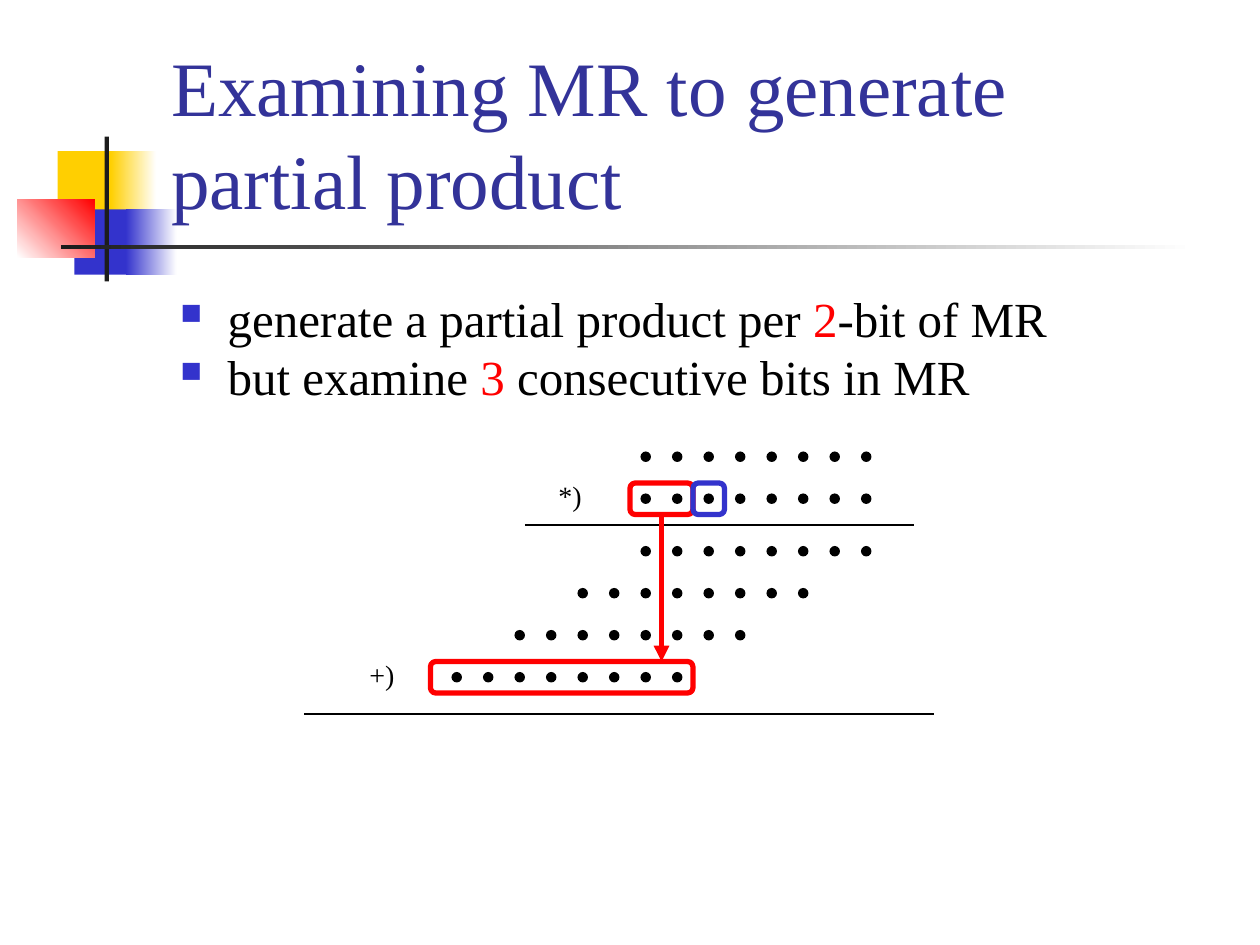
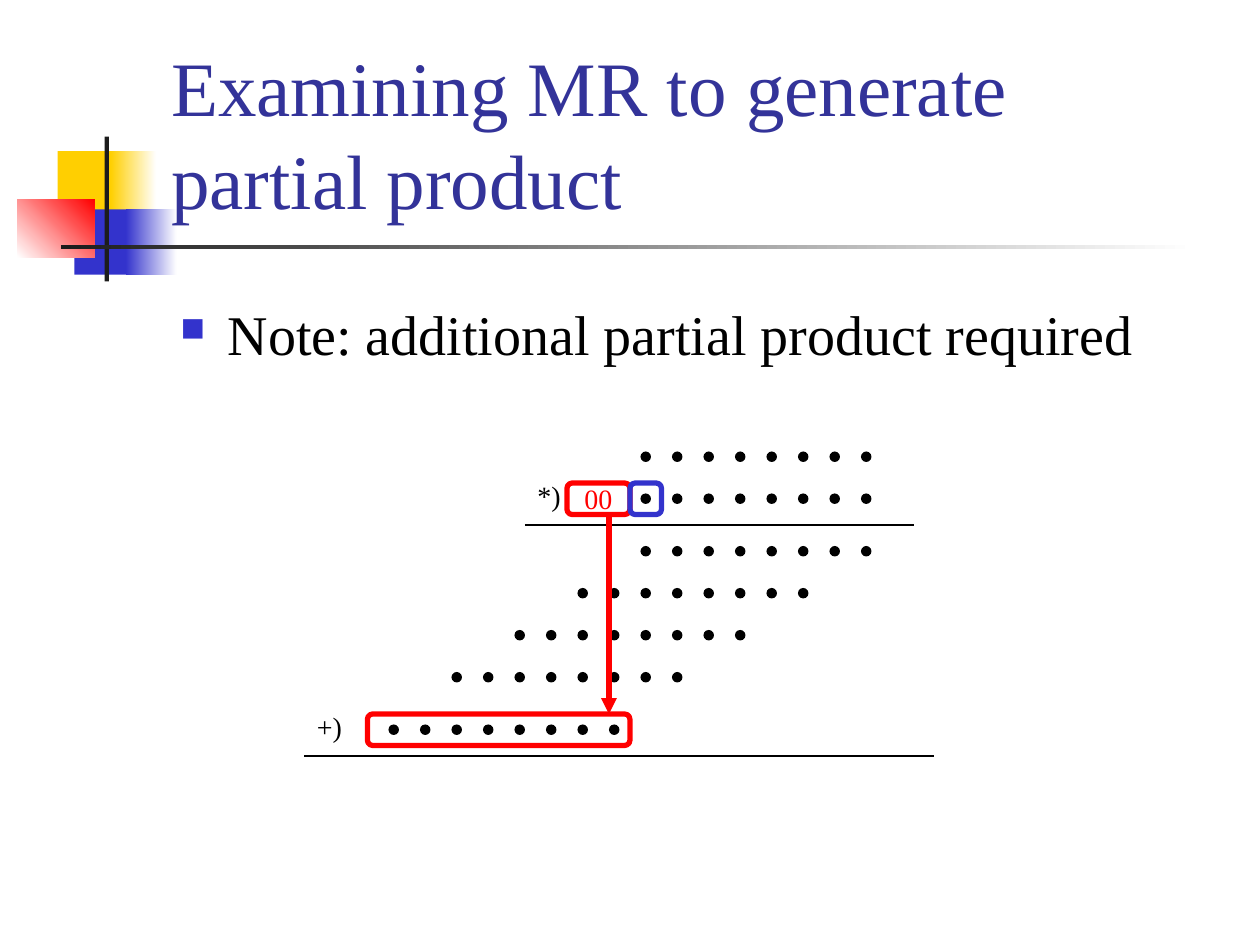
from lxml.etree import SubElement
from pptx import Presentation
from pptx.dml.color import RGBColor
from pptx.enum.shapes import MSO_CONNECTOR, MSO_SHAPE
from pptx.enum.text import MSO_ANCHOR, PP_ALIGN
from pptx.oxml.ns import qn
from pptx.util import Pt

FONT = "Times New Roman"
BLACK, WHITE, RED, BLUE = "000000", "FFFFFF", "FF0000", "3333CC"
GOLD, DARK, NAVY = "FFCF01", "1C1C1C", "333399"
STEP, SIDE, DOT = 18, 18, 6

BARS = [
    (33, 86.4, 34.5, 37.4, GOLD),
    (63.3, 86.4, 26, 37.4, GOLD, WHITE),
    (42.5, 119.6, 33, 37.4, BLUE),
    (72, 119.6, 29, 37.4, BLUE, WHITE),
    (10, 113.8, 44, 33.4, WHITE, RED, 45),
    (59.8, 78, 2.4, 82.8, DARK),
    (34.8, 140, 648, 2.5, DARK, WHITE),
]


def tint(code):
    return RGBColor.from_string(code)


class Deck:
    def __init__(self):
        self.prs = Presentation()
        self.prs.slide_width, self.prs.slide_height = Pt(720), Pt(540)

    def page(self, title):
        self.slide = self.prs.slides.add_slide(self.prs.slide_layouts[6])
        for bar in BARS:
            self.bar(*bar)
        frame = self.text(90.7, 16.6, 613.4, 115.2, [(title, NAVY)], 44)
        frame.vertical_anchor = MSO_ANCHOR.BOTTOM

    def shape(self, kind, x, y, w, h):
        item = self.slide.shapes.add_shape(kind, Pt(x), Pt(y), Pt(w), Pt(h))
        item.shadow.inherit = False
        return item

    def bar(self, x, y, w, h, color, end=None, angle=0):
        item = self.shape(MSO_SHAPE.RECTANGLE, x, y, w, h)
        item.line.fill.background()
        if not end:
            item.fill.solid()
            item.fill.fore_color.rgb = tint(color)
            return
        item.fill.gradient()
        item.fill.gradient_angle = angle
        for stop, code, place in zip(item.fill.gradient_stops, (color, end), (0, 1)):
            stop.color.rgb = tint(code)
            stop.position = place

    def runs(self, para, parts, size):
        for text, color in parts:
            run = para.add_run()
            run.text = text
            run.font.name, run.font.size = FONT, Pt(size)
            run.font.color.rgb = tint(color)

    def text(self, x, y, w, h, parts, size, wrap=True):
        box = self.slide.shapes.add_textbox(Pt(x), Pt(y), Pt(w), Pt(h))
        frame = box.text_frame
        frame.word_wrap = wrap
        self.runs(frame.paragraphs[0], parts, size)
        return frame

    def label(self, x, y, text):
        frame = self.text(x, y, 28.8, 26.6, [(text, BLACK)], 16, False)
        frame.margin_right = 0

    def list(self, items, size, pitch=1.0):
        frame = self.text(96, 168, 612, 69, items[0], size)
        frame.margin_top = Pt(3.4)
        for parts in items[1:]:
            para = frame.add_paragraph()
            para.space_before = Pt(6)
            self.runs(para, parts, size)
        for para in frame.paragraphs:
            para.line_spacing = pitch
            props = para._p.get_or_add_pPr()
            props.set("marL", str(Pt(27)))
            props.set("indent", str(-Pt(27)))
            color = SubElement(props, qn("a:buClr"))
            SubElement(color, qn("a:srgbClr"), val=BLUE)
            SubElement(props, qn("a:buSzPct"), val="60000")
            SubElement(props, qn("a:buFont"), typeface="Wingdings", charset="2")
            SubElement(props, qn("a:buChar"), char="n")

    def dots(self, x, y):
        for col in range(8):
            dot = self.shape(MSO_SHAPE.OVAL, x + col * STEP, y, DOT, DOT)
            dot.fill.solid()
            dot.fill.fore_color.rgb = tint(BLACK)
            dot.line.fill.background()

    def line(self, x, y, to_x, to_y, color=BLACK, width=0.75, arrow=False):
        line = self.slide.shapes.add_connector(
            MSO_CONNECTOR.STRAIGHT, Pt(x), Pt(y), Pt(to_x), Pt(to_y))
        line.line.color.rgb = tint(color)
        line.line.width = Pt(width)
        if arrow:
            SubElement(line.line._get_or_add_ln(), qn("a:tailEnd"), type="triangle")
        SubElement(line._element.spPr, qn("a:effectLst"))

    def frame(self, x, y, w, color, text=None):
        item = self.shape(MSO_SHAPE.ROUNDED_RECTANGLE, x, y, w, SIDE)
        item.adjustments[0] = 0.17
        item.fill.background()
        item.line.color.rgb = tint(color)
        item.line.width = Pt(3)
        if text:
            frame = item.text_frame
            frame.word_wrap = False
            frame.vertical_anchor = MSO_ANCHOR.MIDDLE
            para = frame.paragraphs[0]
            para.alignment = PP_ALIGN.CENTER
            self.runs(para, [(text, color)], 16)

    def product(self, rows, times, plus, rule, bits, arrow, text=None):
        self.label(times, 270, "*)")
        self.line(300, 300, 522, 300)
        for y in (258, 282):
            self.dots(366, y)
        for row, y in enumerate(rows):
            self.dots(366 - 2 * STEP * row, y)
        last = rows[-1] - DOT
        left = 366 - 2 * STEP * (len(rows) - 1) - 12
        self.label(plus, last - 6, "+)")
        self.line(174, rule, 534, rule)
        self.frame(bits, 276, 2 * SIDE, RED, text)
        self.frame(left, last, 150, RED)
        self.line(arrow, 276 + SIDE, arrow, last, RED, 3, True)
        self.frame(bits + 2 * SIDE, 276, SIDE, BLUE)


def main():
    deck = Deck()
    title = "Examining MR to generate partial product"
    rows = [312, 336, 360, 384]

    deck.page(title)
    deck.list([
        [("generate a partial product per ", BLACK), ("2", RED), ("-bit of MR", BLACK)],
        [("but examine ", BLACK), ("3", RED), (" consecutive bits in MR", BLACK)],
    ], 28, 0.8)
    deck.product(rows, 312, 204, 408, 360, 378)

    deck.page(title)
    deck.list([[("Note: additional partial product required", BLACK)]], 32)
    deck.product(rows + [414], 300, 174, 432, 324, 348, "00")

    deck.prs.save("out.pptx")


if __name__ == "__main__":
    main()
